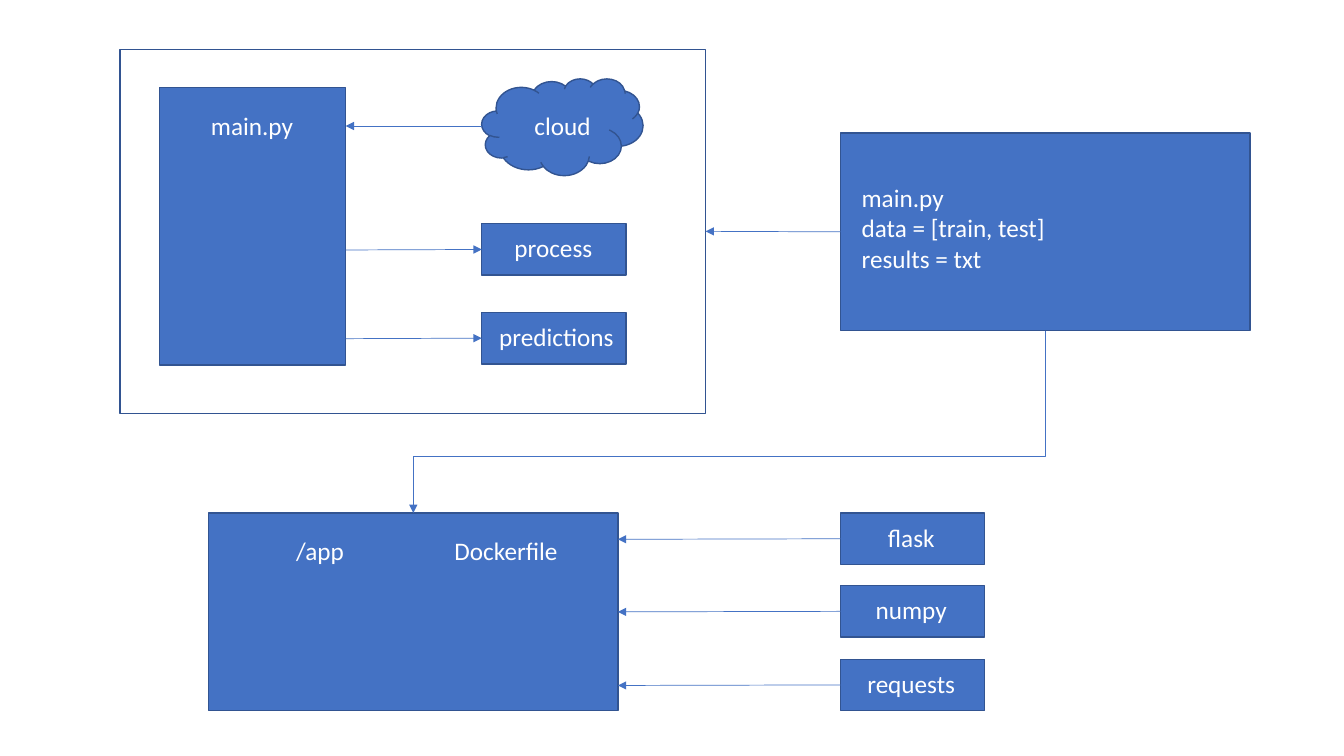
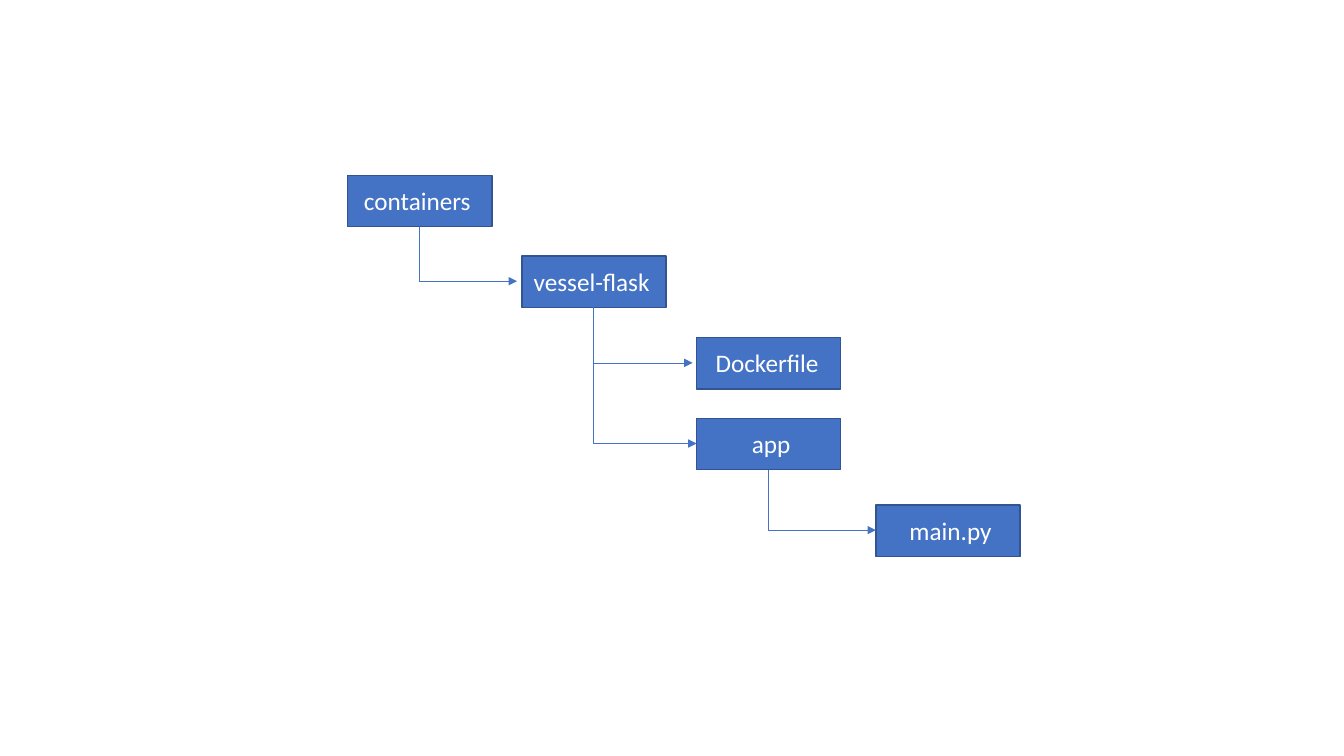
import dataclasses

import pptx
import pptx.dml.color
import pptx.enum.shapes
import pptx.enum.text
import pptx.oxml.ns
import pptx.util
from lxml import etree

EMU_PER_PX = 9144  # 100 px to the inch
NODE_W, NODE_H = 143, 51
LABEL_W, LABEL_H = 148, 40
TOP, LEFT, BOTTOM, RIGHT = range(4)
SHAPES = pptx.enum.shapes.MSO_SHAPE
CONNECTORS = pptx.enum.shapes.MSO_CONNECTOR
ALIGN = pptx.enum.text.PP_ALIGN


def rgb(code):
    return pptx.dml.color.RGBColor.from_string(code)


def px(*lengths):
    return [pptx.util.Emu(round(length * EMU_PER_PX)) for length in lengths]


@dataclasses.dataclass(frozen=True)
class Theme:
    fill: str = "4472C4"
    outline: str = "325491"
    arrow: str = "4472C4"
    text: str = "FFFFFF"
    font: str = "Calibri"
    text_size: int = 18
    outline_width: float = 1
    arrow_width: float = 0.5


class Diagram:
    """Draws boxes, labels and arrows on the current slide in one style."""

    def __init__(self, theme):
        self.theme = theme
        self.deck = pptx.Presentation()
        self.deck.slide_width, self.deck.slide_height = px(1333.33, 750)
        self.shapes = None

    def new_slide(self):
        self.shapes = self.deck.slides.add_slide(self.deck.slide_layouts[6]).shapes

    def box(self, x, y, width, height, kind=SHAPES.RECTANGLE, filled=True):
        box = self.shapes.add_shape(kind, *px(x, y, width, height))
        box.shadow.inherit = False
        if filled:
            box.fill.solid()
            box.fill.fore_color.rgb = rgb(self.theme.fill)
        else:
            box.fill.background()
        box.line.color.rgb = rgb(self.theme.outline)
        box.line.width = pptx.util.Pt(self.theme.outline_width)
        return box

    def label(self, text, x, y, width=LABEL_W, height=LABEL_H, align=ALIGN.CENTER):
        frame = self.shapes.add_textbox(*px(x, y, width, height)).text_frame
        frame.word_wrap = True
        frame.auto_size = pptx.enum.text.MSO_AUTO_SIZE.SHAPE_TO_FIT_TEXT
        frame.text = text
        for paragraph in frame.paragraphs:
            paragraph.alignment = align
            for run in paragraph.runs:
                run.font.name = self.theme.font
                run.font.size = pptx.util.Pt(self.theme.text_size)
                run.font.color.rgb = rgb(self.theme.text)

    def node(self, text, x, y, label_shift, label_drop):
        """Small box with a label offset from its top left corner."""
        box = self.box(x, y, NODE_W, NODE_H)
        self.label(text, x + label_shift, y + label_drop)
        return box

    def _connector(self, kind, start, end):
        connector = self.shapes.add_connector(kind, *px(*start, *end))
        connector.line.color.rgb = rgb(self.theme.arrow)
        connector.line.width = pptx.util.Pt(self.theme.arrow_width)
        qn = pptx.oxml.ns.qn
        etree.SubElement(connector.line._get_or_add_ln(), qn("a:tailEnd"), type="triangle")
        etree.SubElement(connector._element.spPr, qn("a:effectLst"))
        return connector

    def arrow(self, start, end, source=None, target=None):
        """Straight arrow; source and target are (shape, side) pairs to join."""
        arrow = self._connector(CONNECTORS.STRAIGHT, start, end)
        if source:
            arrow.begin_connect(*source)
        if target:
            arrow.end_connect(*target)

    def elbow(self, start, end, bend=None):
        """Arrow leaving downwards: rightwards with one corner, or, given the
        share of the drop at which it bends, leftwards with two corners."""
        (x1, y1), (x2, y2) = start, end
        middle_x, middle_y = (x1 + x2) / 2, (y1 + y2) / 2
        # The frame is stored lying on its side, then turned about its centre.
        half_w, half_h = abs(y2 - y1) / 2, abs(x2 - x1) / 2
        arrow = self._connector(
            CONNECTORS.ELBOW,
            (middle_x - half_w, middle_y - half_h),
            (middle_x + half_w, middle_y + half_h),
        )
        properties = arrow._element.spPr
        frame = properties.find(pptx.oxml.ns.qn("a:xfrm"))
        outline = properties.find(pptx.oxml.ns.qn("a:prstGeom"))
        if bend is None:
            outline.set("prst", "bentConnector2")
            frame.set("rot", str(270 * 60000))
            frame.set("flipH", "1")
        else:
            frame.set("rot", str(90 * 60000))
            qn = pptx.oxml.ns.qn
            guides = outline.find(qn("a:avLst"))
            if guides is None:
                guides = etree.SubElement(outline, qn("a:avLst"))
            etree.SubElement(guides, qn("a:gd"), name="adj1", fmla=f"val {round(bend * 100000)}")


def draw_architecture(diagram):
    diagram.new_slide()
    service = diagram.box(119, 49, 581, 361, filled=False)
    diagram.box(158, 87, 185, 275)
    diagram.label("main.py", 176, 105)
    diagram.box(478, 78, 160, 96, kind=SHAPES.CLOUD)
    diagram.label("cloud", 484, 105)
    diagram.arrow((478, 125), (343, 125))
    for step, y, label_shift in (("process", 222, -3), ("predictions", 310, 0)):
        node = diagram.node(step, 478, y, label_shift, 4)
        diagram.arrow((343, y + 26), (478, y + 26), target=(node, LEFT))

    settings = diagram.box(834, 132, 406, 196)
    diagram.label("main.py\ndata = [train, test]\nresults = txt", 845, 176, 266, 101, ALIGN.LEFT)
    diagram.arrow((834, 230), (700, 230), (settings, LEFT), (service, RIGHT))

    image = diagram.box(207, 509, 406, 196)
    diagram.label("/app", 272, 526, width=91)
    diagram.label("Dockerfile", 428, 526)
    diagram.elbow((1037, 328), (410, 509), bend=0.69)
    for row, library in enumerate(("flask", "numpy", "requests")):
        y = 509 + row * 145 // 2
        node = diagram.node(library, 834, y, -4, 4)
        target = (image, RIGHT) if row == 1 else None
        diagram.arrow((834, y + 26), (613, y + 26), (node, LEFT), target)


def draw_folder_tree(diagram):
    diagram.new_slide()
    folders = (  # name, parent, x, y, label shift
        ("containers", None, 345, 174, -5),
        ("vessel-flask", "containers", 518, 254, -5),
        ("Dockerfile", "vessel-flask", 691, 335, -4),
        ("app", "vessel-flask", 691, 415, 0),
        ("main.py", "app", 869, 501, 0),
    )
    exits = {}
    for name, parent, x, y, label_shift in folders:
        diagram.node(name, x, y, label_shift, 5)
        exits[name] = (x + NODE_W // 2, y + NODE_H)
        if parent:
            diagram.elbow(exits[parent], (x + label_shift, y + NODE_H // 2))


def main():
    diagram = Diagram(Theme())
    draw_architecture(diagram)
    draw_folder_tree(diagram)
    diagram.deck.save("out.pptx")


if __name__ == "__main__":
    main()
